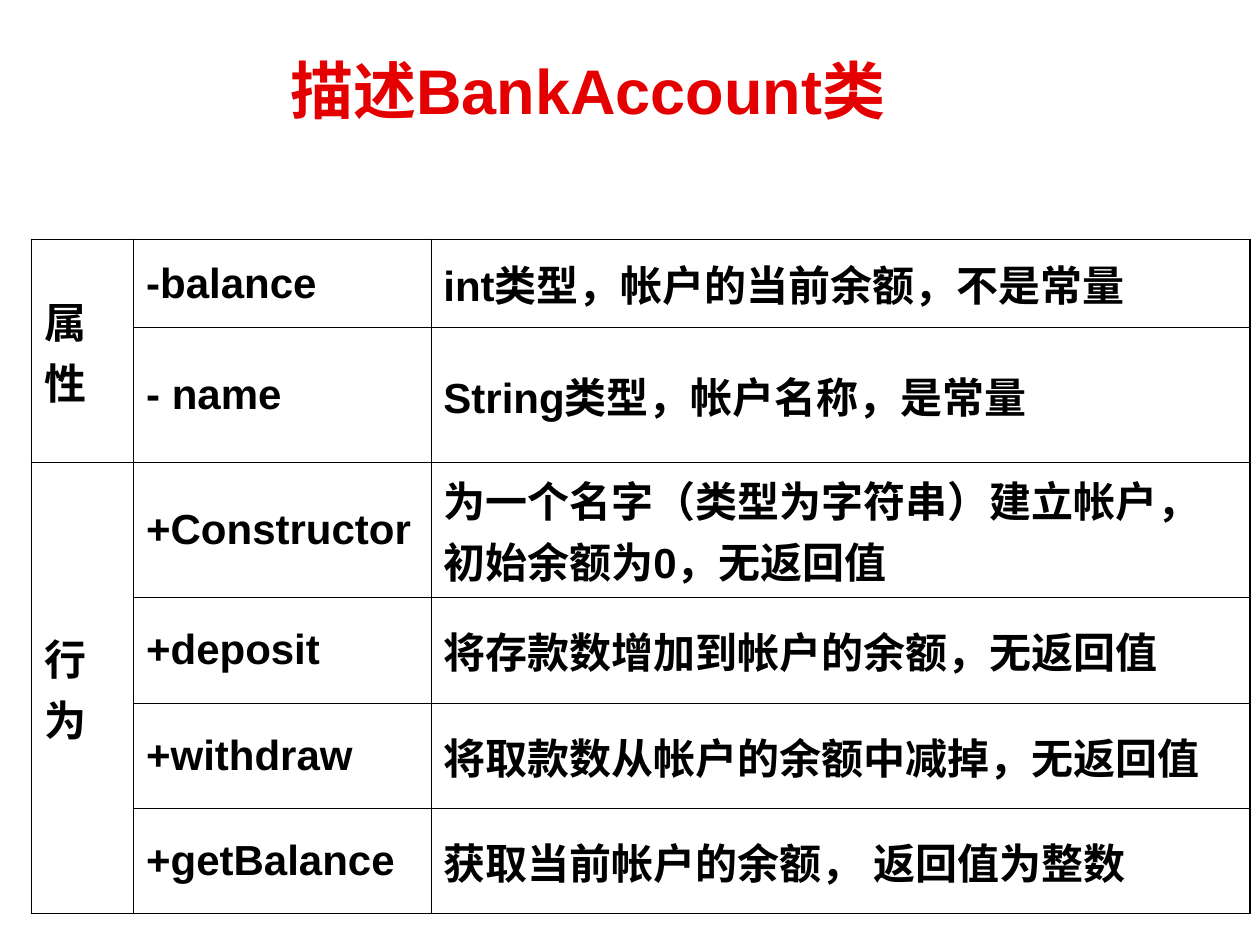
from lxml.etree import SubElement
from pptx import Presentation
from pptx.dml.color import RGBColor
from pptx.enum.text import MSO_ANCHOR, PP_ALIGN
from pptx.oxml.ns import qn
from pptx.util import Inches, Pt

RED = RGBColor(0xE4, 0x00, 0x00)
BLACK = RGBColor(0x00, 0x00, 0x00)
FONT = "Arial"
INNER_LINE, OUTER_LINE = Pt(0.45), Pt(1.08)
COLUMN_WIDTHS = [0.81, 2.36, 6.5]
ROW_HEIGHTS = [0.7, 1.07, 1.07, 0.84, 0.84, 0.83]
SECTIONS = [
    ("属性", [
        ("-balance", "int类型，帐户的当前余额，不是常量"),
        ("- name", "String类型，帐户名称，是常量"),
    ]),
    ("行为", [
        ("+Constructor", "为一个名字（类型为字符串）建立帐户，初始余额为0，无返回值"),
        ("+deposit", "将存款数增加到帐户的余额，无返回值"),
        ("+withdraw", "将取款数从帐户的余额中减掉，无返回值"),
        ("+getBalance", "获取当前帐户的余额， 返回值为整数"),
    ]),
]


def style_paragraph(paragraph, size, color):
    """Set the bold font of a paragraph."""
    font = paragraph.font
    font.name, font.size, font.bold = FONT, Pt(size), True
    font.color.rgb = color


def add_title(slide, text, left, top, width, height):
    """Add the centred red title in the given box."""
    shape = slide.shapes.add_textbox(left, top, width, height)
    frame = shape.text_frame
    frame.word_wrap = True
    frame.vertical_anchor = MSO_ANCHOR.MIDDLE
    paragraph = frame.paragraphs[0]
    paragraph.text = text
    paragraph.alignment = PP_ALIGN.CENTER
    style_paragraph(paragraph, 36, RED)


def set_borders(cell, outer_sides):
    """Draw all four cell borders, heavier on the outer sides."""
    properties = cell._tc.get_or_add_tcPr()
    for index, side in enumerate("LRTB"):
        width = OUTER_LINE if side in outer_sides else INNER_LINE
        line = SubElement(properties, qn(f"a:ln{side}"), w=str(int(width)))
        fill = SubElement(line, qn("a:solidFill"))
        SubElement(fill, qn("a:srgbClr"), val=str(BLACK))
        properties.insert(index, line)


def fill_cell(cell, text):
    """Write the bold text of a table cell."""
    paragraph = cell.text_frame.paragraphs[0]
    paragraph.text = text
    paragraph.space_before = Pt(6)
    style_paragraph(paragraph, 24, BLACK)


def add_class_table(slide, left, top, width, height):
    """Add the table of attributes and behaviours in the given box."""
    last_row, last_column = len(ROW_HEIGHTS) - 1, len(COLUMN_WIDTHS) - 1
    table = slide.shapes.add_table(
        last_row + 1, last_column + 1, left, top, width, height).table
    table.first_row = table.horz_banding = False
    for column, column_width in zip(table.columns, COLUMN_WIDTHS):
        column.width = Inches(column_width)
    for row, row_height in zip(table.rows, ROW_HEIGHTS):
        row.height = Inches(row_height)
    first = 0
    for heading, members in SECTIONS:
        last = first + len(members) - 1
        table.cell(first, 0).merge(table.cell(last, 0))
        fill_cell(table.cell(first, 0), heading)
        for row_index, member in enumerate(members, first):
            for column_index, text in enumerate(member, 1):
                fill_cell(table.cell(row_index, column_index), text)
            for column_index in range(last_column + 1):
                cell = table.cell(row_index, column_index)
                cell.vertical_anchor = MSO_ANCHOR.MIDDLE
                cell.fill.background()
                bottom = last if column_index == 0 else row_index
                edges = {"L": column_index == 0, "R": column_index == last_column,
                         "T": row_index == 0, "B": bottom == last_row}
                set_borders(cell, [side for side, outer in edges.items() if outer])
        first = last + 1


def main():
    """Build and save the presentation."""
    presentation = Presentation()
    presentation.slide_width, presentation.slide_height = Inches(10), Inches(7.5)
    slide = presentation.slides.add_slide(presentation.slide_layouts[6])
    add_title(slide, "描述BankAccount类",
              Inches(0.75), Inches(0.17), Inches(7.83), Inches(1.08))
    add_class_table(slide, Inches(0.25), Inches(1.9),
                    Inches(sum(COLUMN_WIDTHS)), Inches(sum(ROW_HEIGHTS)))
    presentation.save("out.pptx")


if __name__ == "__main__":
    main()
